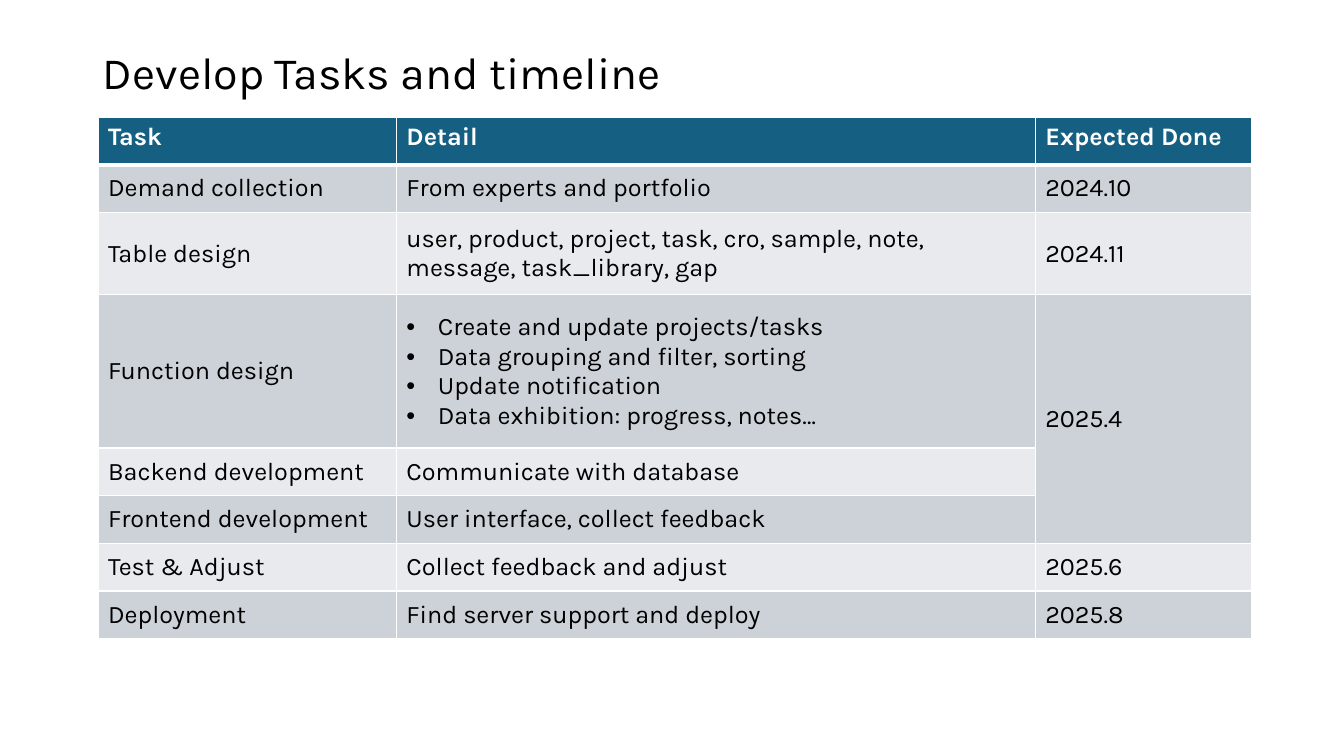
import pptx
import pptx.dml.color
import pptx.enum.text
import pptx.oxml
import pptx.oxml.ns
import pptx.util
from dataclasses import dataclass

Cm = pptx.util.Cm
Pt = pptx.util.Pt
RGB = pptx.dml.color.RGBColor.from_string
Anchor = pptx.enum.text.MSO_ANCHOR
Align = pptx.enum.text.PP_ALIGN


@dataclass(frozen=True)
class Theme:
    font: str = "Karla"
    ink: str = "000000"
    white: str = "FFFFFF"
    header: str = "156082"
    bands: tuple = ("CCD2D8", "E8EAED")
    title_size: int = 32
    table_size: int = 18
    thin: int = 1
    thick: int = 3


THEME = Theme()

HEADINGS = ("Task", "Detail", "Expected Done")
TASKS = [
    ("Demand collection", "From experts and portfolio", "2024.10"),
    ("Table design",
     "user, product, project, task, cro, sample, note, message, task_library, gap",
     "2024.11"),
    ("Function design",
     ["Create and update projects/tasks", "Data grouping and filter, sorting",
      "Update notification", "Data exhibition: progress, notes…"],
     "2025.4"),
    ("Backend development", "Communicate with database", ""),
    ("Frontend development", "User interface, collect feedback", ""),
    ("Test & Adjust", "Collect feedback and adjust", "2025.6"),
    ("Deployment", "Find server support and deploy", "2025.8"),
]
COLUMN_WIDTHS = (7.52, 16.1, 5.46)
ROW_HEIGHT = 1.2
TALL_ROWS = {2: 2.08, 3: 3.86}
SHARED_DATE_ROWS = (3, 5)
BULLET_INDENT = 0.79


def set_format(target, values):
    for name, value in values.items():
        setattr(target, name, value)


def write(para, text, size, color, bold=False):
    span = para.add_run()
    span.text = text
    set_format(span.font, {"name": THEME.font, "size": Pt(size), "bold": bold})
    span.font.color.rgb = RGB(color)


def add_bullet(para):
    props = para._p.get_or_add_pPr()
    props.set("marL", str(Cm(BULLET_INDENT)))
    props.set("indent", str(-Cm(BULLET_INDENT)))
    namespace = pptx.oxml.ns.nsdecls("a")
    for xml in (f'<a:buFont {namespace} typeface="Arial"/>',
                f'<a:buChar {namespace} char="•"/>'):
        props.append(pptx.oxml.parse_xml(xml))


def set_borders(cell, top, bottom):
    props = cell._tc.get_or_add_tcPr()
    widths = {"lnL": THEME.thin, "lnR": THEME.thin, "lnT": top, "lnB": bottom}
    for position, (side, width) in enumerate(widths.items()):
        props.insert(position, pptx.oxml.parse_xml(
            f'<a:{side} {pptx.oxml.ns.nsdecls("a")} w="{Pt(width)}">'
            f'<a:solidFill><a:srgbClr val="{THEME.white}"/></a:solidFill></a:{side}>'))


# Title
def place_title(page, left, top, width, height):
    title = page.shapes.title
    set_format(title, {"left": Cm(left), "top": Cm(top),
                       "width": Cm(width), "height": Cm(height)})
    set_format(title.text_frame, {"vertical_anchor": Anchor.MIDDLE, "word_wrap": True})
    para = title.text_frame.paragraphs[0]
    set_format(para, {"alignment": Align.LEFT, "line_spacing": 0.9})
    write(para, "Develop Tasks and timeline", THEME.title_size, THEME.ink)


# One table cell: fill, borders and text
def fill_cell(cell, row, content):
    is_header = row == 0
    cell.fill.solid()
    cell.fill.fore_color.rgb = RGB(
        THEME.header if is_header else THEME.bands[(row - 1) % 2])
    cell.vertical_anchor = Anchor.TOP if is_header else Anchor.MIDDLE
    set_borders(cell, top=THEME.thick if row == 1 else THEME.thin,
                bottom=THEME.thick if is_header else THEME.thin)
    if not content:
        return
    lines = content if isinstance(content, list) else [content]
    frame = cell.text_frame
    for index, line in enumerate(lines):
        para = frame.add_paragraph() if index else frame.paragraphs[0]
        if isinstance(content, list):
            add_bullet(para)
        write(para, line, THEME.table_size,
              THEME.white if is_header else THEME.ink, is_header)


# Timeline table
def place_timeline(page, left, top):
    rows = [HEADINGS, *TASKS]
    heights = [TALL_ROWS.get(row, ROW_HEIGHT) for row in range(len(rows))]
    table = page.shapes.add_table(
        len(rows), len(HEADINGS), Cm(left), Cm(top),
        Cm(sum(COLUMN_WIDTHS)), Cm(sum(heights))).table
    for column, width in zip(table.columns, COLUMN_WIDTHS):
        column.width = Cm(width)
    for row, (contents, height) in enumerate(zip(rows, heights)):
        table.rows[row].height = Cm(height)
        for column, content in enumerate(contents):
            fill_cell(table.cell(row, column), row, content)
    first, last = SHARED_DATE_ROWS
    table.cell(first, 2).merge(table.cell(last, 2))


def main():
    deck = pptx.Presentation()
    set_format(deck, {"slide_width": Cm(33.87), "slide_height": Cm(19.05)})
    page = deck.slides.add_slide(deck.slide_layouts[5])
    place_title(page, 2.34, 1.02, 29.21, 1.73)
    place_timeline(page, 2.47, 2.95)
    deck.save("out.pptx")


if __name__ == "__main__":
    main()
